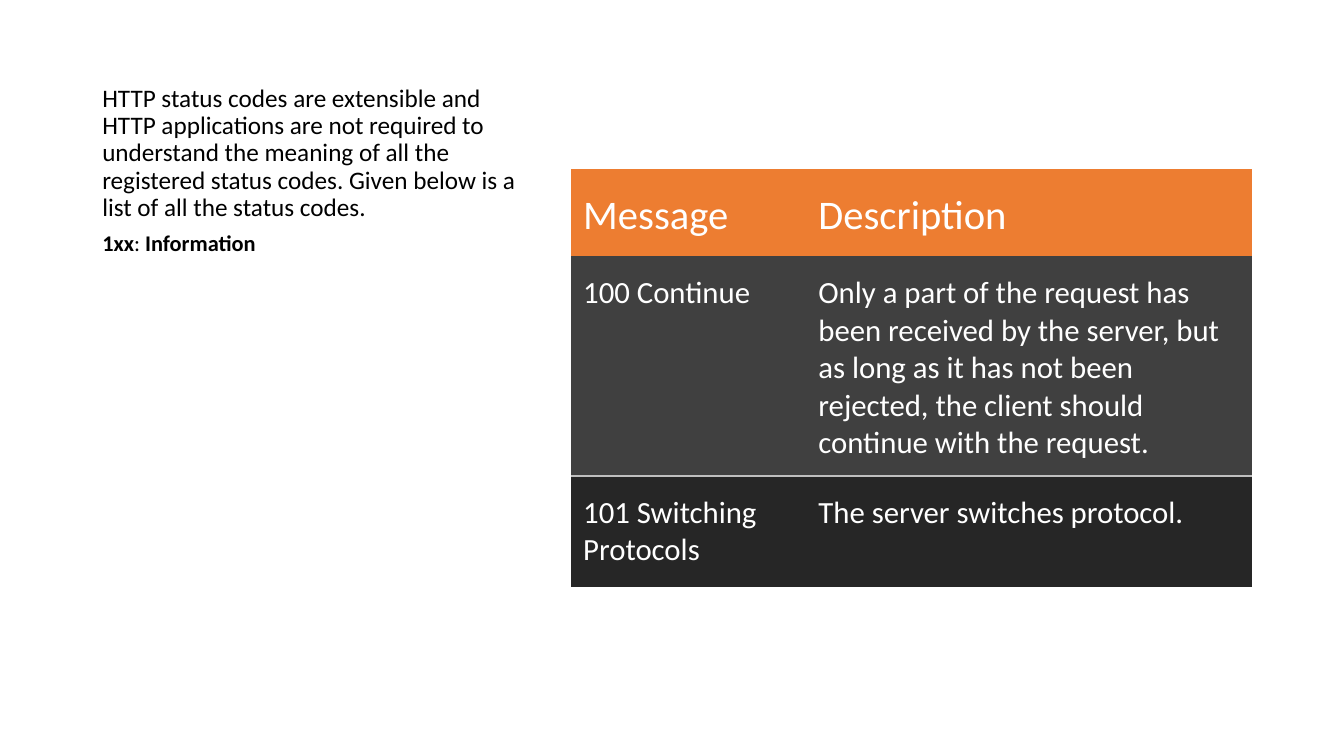
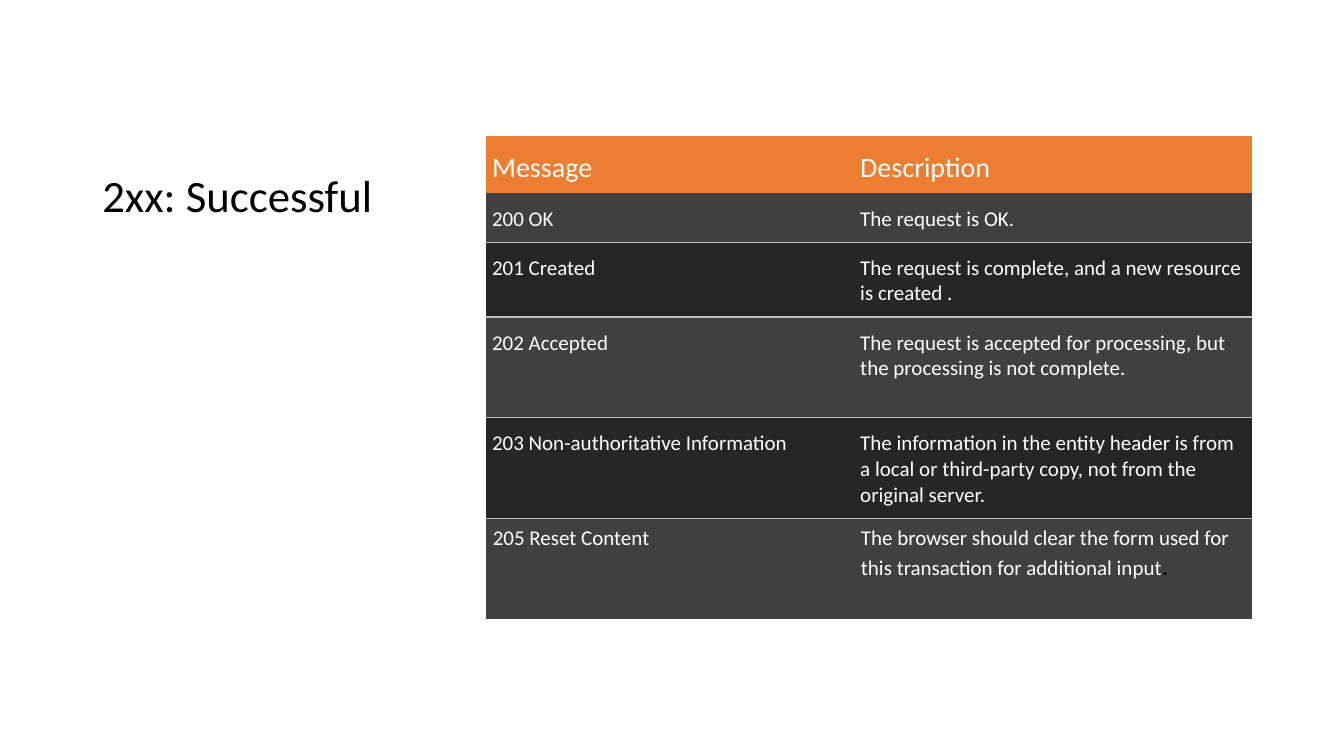
"""Builds two slides that list HTTP status codes."""
import dataclasses

import lxml.etree
import pptx
import pptx.dml.color
import pptx.enum.text
import pptx.oxml.ns
import pptx.util

Pt = pptx.util.Pt
ANCHOR = pptx.enum.text.MSO_ANCHOR


@dataclasses.dataclass(frozen=True)
class Theme:
    """Colours, font and type sizes shared by the slides."""

    font: str = "Calibri"
    ink: str = "000000"
    paper: str = "FFFFFF"
    header: str = "ED7D31"
    odd_row: str = "404040"
    even_row: str = "262626"
    rule: str = "BFBFBF"
    intro_size: int = 18
    label_size: int = 16
    title_size: int = 32
    full_stop_size: int = 18
    plain_table_style: str = "{2D5ABB26-0587-4C30-8999-92F81FD0307C}"


@dataclasses.dataclass(frozen=True)
class Box:
    """A region of the slide in points."""

    left: float
    top: float
    width: float
    height: float


@dataclasses.dataclass(frozen=True)
class TableLayout:
    """Measures and type sizes of one status table."""

    left: float
    top: float
    columns: tuple
    rows: tuple
    header_size: int
    body_size: int
    inset: float
    top_inset: float


THEME = Theme()
TITLE_BOX = Box(66, 36, 309.6, 126)
LABEL_BOX = Box(66, 162, 309.6, 300)
HEADINGS = ("Message", "Description")

INFORMATION_LAYOUT = TableLayout(408, 121, (168, 318), (62, 157, 79), 29, 22, 8.64, 13)
INFORMATION_CODES = (
    ("100 Continue",
     "Only a part of the request has been received by the server, but as long as it has "
     "not been rejected, the client should continue with the request."),
    ("101 Switching Protocols", "The server switches protocol."),
)

SUCCESS_LAYOUT = TableLayout(
    347, 97, (263, 284), (41, 35, 53.5, 72, 72, 72), 20, 15, 4.5, 9.3)
SUCCESS_CODES = (
    ("200 OK", "The request is OK."),
    ("201 Created", "The request is complete, and a new resource is created ."),
    ("202 Accepted",
     "The request is accepted for processing, but the processing is not complete."),
    ("203 Non-authoritative Information",
     "The information in the entity header is from a local or third-party copy, "
     "not from the original server."),
    ("205 Reset Content",
     "The browser should clear the form used for this transaction for additional input"),
)


def rgb(value):
    """Turn a hex string into a colour."""
    return pptx.dml.color.RGBColor.from_string(value)


def add_run(paragraph, text, size, color, bold=False):
    """Append a formatted run to a paragraph."""
    run = paragraph.add_run()
    run.text = text
    run.font.name = THEME.font
    run.font.size = Pt(size)
    run.font.bold = bold
    run.font.color.rgb = rgb(color)


def add_text(slide, box, runs, size, anchor, before=0, after=0):
    """Place one paragraph of (text, bold) runs in a box."""
    shape = slide.shapes.add_textbox(
        Pt(box.left), Pt(box.top), Pt(box.width), Pt(box.height))
    frame = shape.text_frame
    frame.word_wrap = True
    frame.vertical_anchor = anchor
    paragraph = frame.paragraphs[0]
    paragraph.line_spacing = 0.9
    paragraph.space_before = Pt(before)
    paragraph.space_after = Pt(after)
    for text, bold in runs:
        add_run(paragraph, text, size, THEME.ink, bold)


def add_title(slide, text, size):
    """Place the text that stands at the upper left of a slide."""
    add_text(slide, TITLE_BOX, [(text, False)], size, ANCHOR.BOTTOM, after=6)


def add_border(cell, edge):
    """Draw a thin rule on one edge of a cell."""
    properties = cell._tc.get_or_add_tcPr()
    line = lxml.etree.Element(pptx.oxml.ns.qn(f"a:{edge}"), w=str(Pt(1)))
    fill = lxml.etree.SubElement(line, pptx.oxml.ns.qn("a:solidFill"))
    lxml.etree.SubElement(fill, pptx.oxml.ns.qn("a:srgbClr"), val=THEME.rule)
    properties.insert(0, line)


def set_insets(cell, inset, top_inset):
    """Set the margins of a cell."""
    cell.margin_left = cell.margin_right = cell.margin_bottom = Pt(inset)
    cell.margin_top = Pt(top_inset)


def fill_cell(cell, text, row, layout):
    """Write and style one cell according to its row."""
    is_header = row == 0
    band = THEME.odd_row if row % 2 else THEME.even_row
    cell.fill.solid()
    cell.fill.fore_color.rgb = rgb(THEME.header if is_header else band)
    cell.vertical_anchor = ANCHOR.MIDDLE if is_header else ANCHOR.TOP
    set_insets(cell, layout.inset, layout.top_inset)
    size = layout.header_size if is_header else layout.body_size
    add_run(cell.text_frame.paragraphs[0], text, size, THEME.paper)
    if row and row % 2 == 0:
        add_border(cell, "lnT")
    elif row and row < len(layout.rows) - 1:
        add_border(cell, "lnB")


def add_status_table(slide, layout, codes):
    """Add a banded table of status codes and return it."""
    frame = slide.shapes.add_table(
        len(layout.rows), len(layout.columns), Pt(layout.left), Pt(layout.top),
        Pt(sum(layout.columns)), Pt(sum(layout.rows)))
    table = frame.table
    table.first_row = table.horz_banding = False
    for style in table._tbl.iter(pptx.oxml.ns.qn("a:tableStyleId")):
        style.text = THEME.plain_table_style
    for column, width in zip(table.columns, layout.columns):
        column.width = Pt(width)
    for row, height in zip(table.rows, layout.rows):
        row.height = Pt(height)
    for row, texts in enumerate((HEADINGS, *codes)):
        for column, text in enumerate(texts):
            fill_cell(table.cell(row, column), text, row, layout)
    return table


def add_information_slide(presentation):
    """Build the slide on informational codes."""
    slide = presentation.slides.add_slide(presentation.slide_layouts[6])
    add_title(
        slide,
        "HTTP status codes are extensible and HTTP applications are not required to "
        "understand the meaning of all the registered status codes. Given below is a "
        "list of all the status codes.",
        THEME.intro_size)
    label = [("1xx", True), (": ", False), ("Information", True)]
    add_text(slide, LABEL_BOX, label, THEME.label_size, ANCHOR.TOP, before=10)
    add_status_table(slide, INFORMATION_LAYOUT, INFORMATION_CODES)


def add_success_slide(presentation):
    """Build the slide on success codes."""
    slide = presentation.slides.add_slide(presentation.slide_layouts[6])
    add_title(slide, "2xx: Successful", THEME.title_size)
    table = add_status_table(slide, SUCCESS_LAYOUT, SUCCESS_CODES)
    last_row = table.rows[len(SUCCESS_CODES)]
    for cell in last_row.cells:
        set_insets(cell, 5, 5)
    paragraph = last_row.cells[1].text_frame.paragraphs[0]
    add_run(paragraph, ".", THEME.full_stop_size, THEME.ink)


def main():
    """Create and save the presentation."""
    presentation = pptx.Presentation()
    presentation.slide_width = Pt(960)
    presentation.slide_height = Pt(540)
    add_information_slide(presentation)
    add_success_slide(presentation)
    presentation.save("out.pptx")


if __name__ == "__main__":
    main()
